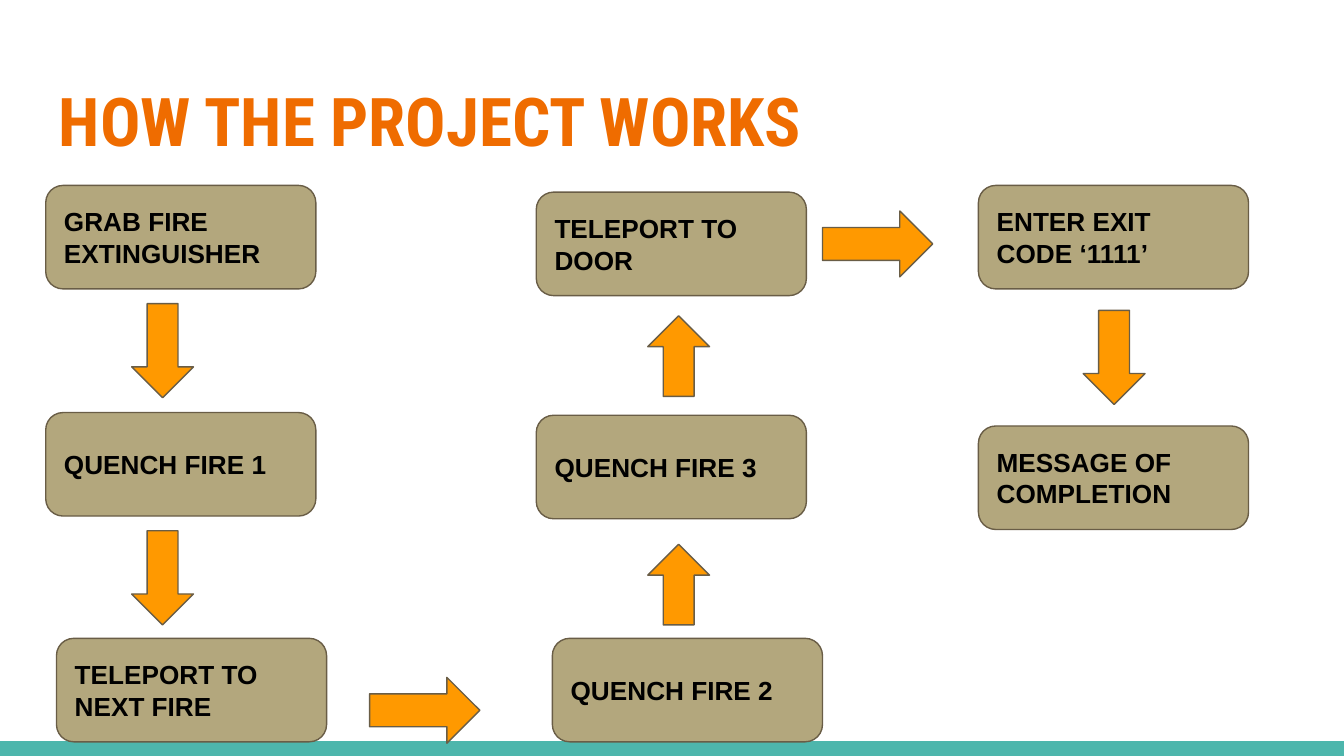
from pptx import Presentation
from pptx.dml.color import RGBColor
from pptx.enum.shapes import MSO_SHAPE as Shape
from pptx.enum.text import MSO_ANCHOR as Anchor, PP_ALIGN as Align
from pptx.util import Inches, Pt

WIDTH = 10
HEIGHT = WIDTH * 9 / 16
COLUMNS = (0.34, 3.99, 7.28)
TOP, ROW_STEP = 1.38, 1.69
BOX_W, BOX_H = 2.01, 0.77
BAND_H = 0.11
SAND, BROWN, AMBER = "B3A77D", "695D46", "FF9900"
TEAL, ORANGE, BLACK = "4DB6AC", "EF6C00", "000000"

# text, column, row, shift right, shift down
STEPS = (
    ("GRAB FIRE EXTINGUISHER", 0, 0, 0, 0),
    ("QUENCH FIRE 1", 0, 1, 0, 0),
    ("TELEPORT TO NEXT FIRE", 0, 2, 0.08, -0.01),
    ("QUENCH FIRE 2", 1, 2, 0.12, -0.01),
    ("QUENCH FIRE 3", 1, 1, 0, 0.02),
    ("TELEPORT TO DOOR", 1, 0, 0, 0.05),
    ("ENTER EXIT CODE ‘1111’", 2, 0, 0, 0),
    ("MESSAGE OF COMPLETION", 2, 1, 0, 0.1),
)
ARROW_SIZES = {
    Shape.DOWN_ARROW: (0.46, 0.7),
    Shape.UP_ARROW: (0.46, 0.6),
    Shape.RIGHT_ARROW: (0.82, 0.49),
}
# direction, column, row, offset from that grid corner
ARROWS = (
    (Shape.DOWN_ARROW, 0, 0, 0.64, 0.88),
    (Shape.DOWN_ARROW, 0, 1, 0.64, 0.88),
    (Shape.RIGHT_ARROW, 0, 2, 2.41, 0.28),
    (Shape.UP_ARROW, 1, 1, 0.83, 0.98),
    (Shape.UP_ARROW, 1, 0, 0.83, 0.97),
    (Shape.RIGHT_ARROW, 1, 0, 2.13, 0.19),
    (Shape.DOWN_ARROW, 2, 0, 0.78, 0.93),
)


def rgb(value):
    return RGBColor.from_string(value)


def grid(column, row, dx, dy):
    """Return left and top of a grid corner, shifted by dx and dy."""
    return COLUMNS[column] + dx, TOP + row * ROW_STEP + dy


def add_block(s, kind, left, top, width, height, fill, line=None):
    sp = s.shapes.add_shape(kind, *map(Inches, (left, top, width, height)))
    sp.shadow.inherit = False
    sp.fill.solid()
    sp.fill.fore_color.rgb = rgb(fill)
    if line:
        sp.line.color.rgb = rgb(line)
        sp.line.width = Pt(0.75)
    else:
        sp.line.fill.background()
    return sp


def write(sp, text, color, anchor, **font):
    tf = sp.text_frame
    frame = {"word_wrap": True, "vertical_anchor": anchor}
    frame.update({f"margin_{side}": Inches(0.1)
                  for side in ("left", "right", "top", "bottom")})
    for name, value in frame.items():
        setattr(tf, name, value)
    p = tf.paragraphs[0]
    p.alignment = Align.LEFT
    r = p.add_run()
    r.text = text
    for name, value in font.items():
        setattr(r.font, name, value)
    r.font.color.rgb = rgb(color)


def add_title(s, text):
    sp = s.shapes.add_textbox(*map(Inches, (0.34, 0.49, WIDTH - 0.68, 0.77)))
    write(sp, text, ORANGE, Anchor.TOP,
          name="Roboto Condensed", size=Pt(36), bold=True)


def add_step(s, text, *place):
    sp = add_block(s, Shape.FLOWCHART_ALTERNATE_PROCESS, *grid(*place),
                   BOX_W, BOX_H, SAND, BROWN)
    write(sp, text, BLACK, Anchor.MIDDLE, name="Arial", size=Pt(14), bold=True)


def add_arrow(s, kind, *place):
    add_block(s, kind, *grid(*place), *ARROW_SIZES[kind], AMBER, BROWN)


def main():
    prs = Presentation()
    prs.slide_width, prs.slide_height = Inches(WIDTH), Inches(HEIGHT)
    s = prs.slides.add_slide(prs.slide_layouts[6])
    add_block(s, Shape.RECTANGLE, 0, HEIGHT - BAND_H, WIDTH, BAND_H, TEAL)
    add_title(s, "HOW THE PROJECT WORKS")
    for step in STEPS:
        add_step(s, *step)
    for arrow in ARROWS:
        add_arrow(s, *arrow)
    prs.save("out.pptx")


if __name__ == "__main__":
    main()
